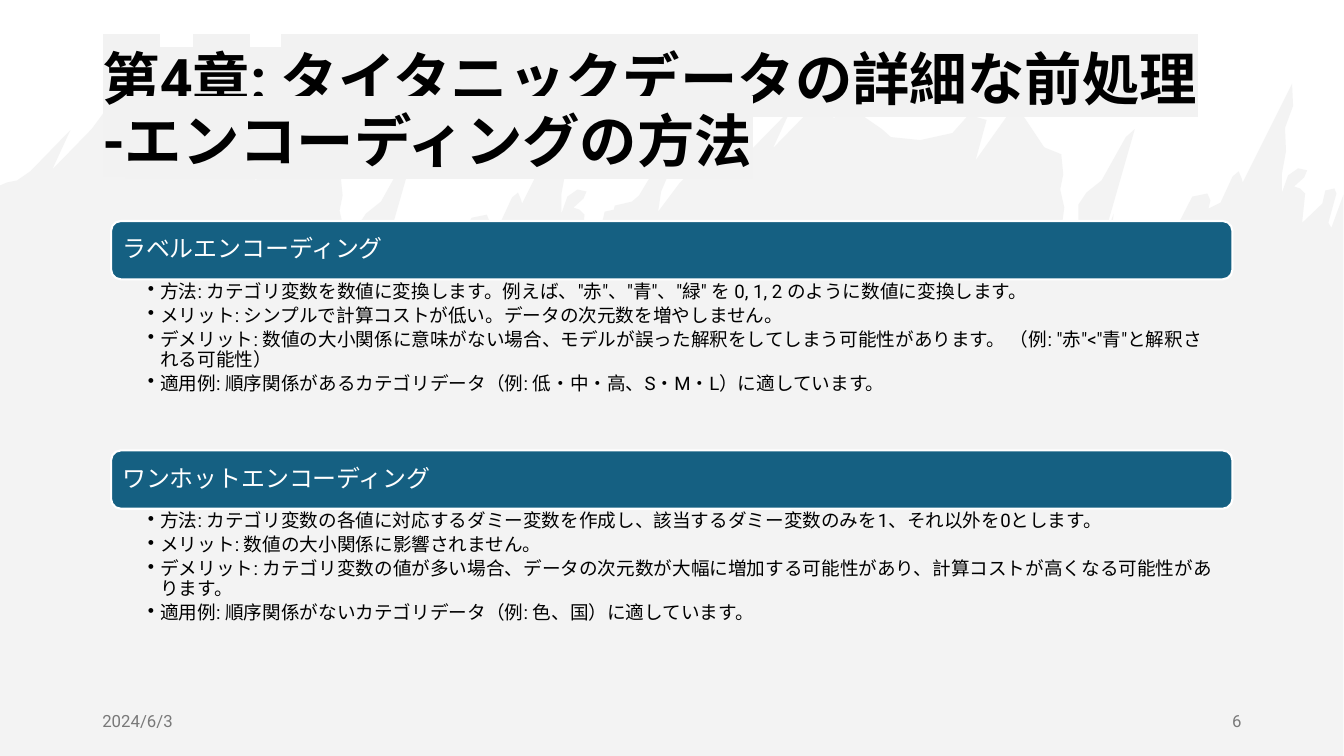
from dataclasses import dataclass

import pptx
import pptx.dml.color
import pptx.enum.shapes
import pptx.enum.text
import pptx.oxml.ns
import pptx.util
from lxml import etree
from pptx.util import Cm, Pt


@dataclass(frozen=True)
class Theme:
    font: str = "Roboto"
    ink: str = "000000"
    white: str = "FFFFFF"
    heading_fill: str = "156082"
    ridge_fill: str = "E8E8E8"
    highlight: str = "F2F2F2"
    footer: str = "797979"
    title_size: float = 41
    heading_size: float = 17.1
    body_size: float = 13.3
    footer_size: float = 12


theme = Theme()
qn = pptx.oxml.ns.qn
ANCHOR = pptx.enum.text.MSO_ANCHOR
ALIGN = pptx.enum.text.PP_ALIGN


def rgb(value):
    return pptx.dml.color.RGBColor.from_string(value)


def style(font, size, color, bold=False):
    font.name = theme.font
    font.size = Pt(size)
    font.bold = bold
    font.color.rgb = rgb(color)


deck = pptx.Presentation()
deck.slide_width, deck.slide_height = Cm(33.87), Cm(19.05)
slide = deck.slides.add_slide(deck.slide_layouts[5])

# Background ridge: one outline, used at the right and again, shifted, at the left
# (points in hundredths of 2.54 cm)
ridge = [
    (732, 158), (745, 149), (785, 108), (767, 147), (806, 107), (820, 88), (824, 82),
    (828, 83), (830, 91), (827, 118), (852, 85), (849, 110), (859, 117), (875, 128),
    (884, 136), (913, 139), (945, 132), (961, 114), (979, 119), (968, 159), (1010, 100),
    (1012, 110), (1036, 146), (1038, 147), (1053, 153), (1055, 173), (1052, 188),
    (1056, 206), (1054, 221), (1057, 234), (1070, 221), (1070, 203), (1078, 191),
    (1093, 179), (1117, 136), (1126, 128), (1091, 250), (1105, 212), (1102, 238),
    (1112, 252), (1115, 252), (1124, 241), (1130, 235), (1151, 219), (1154, 230),
    (1158, 235), (1164, 232), (1183, 195), (1198, 192), (1201, 199), (1199, 207),
    (1211, 201), (1223, 175), (1229, 170), (1232, 177), (1233, 181), (1282, 83),
    (1283, 105), (1275, 127), (1276, 150), (1272, 172), (1272, 191), (1278, 174),
    (1288, 167), (1297, 169), (1294, 176), (1284, 185), (1290, 187), (1295, 192),
    (1292, 221), (1312, 202), (1315, 189), (1324, 187),
]
valley = [
    (610, 204), (627, 200), (634, 194), (643, 179), (663, 153), (668, 162), (656, 190),
    (653, 210), (674, 182), (701, 154), (696, 175), (700, 176),
]
right_end = [(1326, 192), (1318, 221), (1321, 226), (1333, 193), (1333, 750)]
left_ridge = [(x - 715, y + 21) for x, y in ridge]
outline = [(0, 184), (7, 181)] + left_ridge + valley + ridge + right_end

builder = slide.shapes.build_freeform(0, 750, scale=Cm(2.54) / 100)
builder.add_line_segments(outline, close=True)
mountains = builder.convert_to_shape()
mountains.shadow.inherit = False
mountains.line.fill.background()
mountains.fill.solid()
mountains.fill.fore_color.rgb = rgb(theme.ridge_fill)
ridge_color = mountains.fill._xPr.find(qn("a:solidFill"))[0]
etree.SubElement(ridge_color, qn("a:alpha"), val="50000")
slide.shapes._spTree.insert(2, mountains._element)

# Title with highlighted text
title = slide.shapes.title
title.left, title.top, title.width, title.height = Cm(2.33), Cm(1.01), Cm(29.21), Cm(3.68)
title_frame = title.text_frame
title_frame.text = "第4章: タイタニックデータの詳細な前処理\v-エンコーディングの方法"
title_frame.word_wrap = True
title_frame.auto_size = pptx.enum.text.MSO_AUTO_SIZE.NONE
title_frame.vertical_anchor = ANCHOR.MIDDLE
title_line = title_frame.paragraphs[0]
title_line.alignment = ALIGN.LEFT
title_line.line_spacing = 0.9
for run in title_line.runs:
    style(run.font, theme.title_size, theme.ink, bold=True)
    marker = etree.Element(qn("a:highlight"))
    etree.SubElement(marker, qn("a:srgbClr"), val=theme.highlight)
    run._r.rPr.find(qn("a:solidFill")).addnext(marker)

# Encoding methods: heading bar with bullets below
methods = [
    ("ラベルエンコーディング", [
        "方法: カテゴリ変数を数値に変換します。例えば、\"赤\"、\"青\"、\"緑\" を 0, 1, 2 のように数値に変換します。",
        "メリット: シンプルで計算コストが低い。データの次元数を増やしません。",
        "デメリット: 数値の大小関係に意味がない場合、モデルが誤った解釈をしてしまう可能性があります。 （例: \"赤\"<\"青\"と解釈される可能性）",
        "適用例: 順序関係があるカテゴリデータ（例: 低・中・高、S・M・L）に適しています。",
    ]),
    ("ワンホットエンコーディング", [
        "方法: カテゴリ変数の各値に対応するダミー変数を作成し、該当するダミー変数のみを1、それ以外を0とします。",
        "メリット: 数値の大小関係に影響されません。",
        "デメリット: カテゴリ変数の値が多い場合、データの次元数が大幅に増加する可能性があり、計算コストが高くなる可能性があります。",
        "適用例: 順序関係がないカテゴリデータ（例: 色、国）に適しています。",
    ]),
]
left, width = Cm(2.8), Cm(28.26)
first_top, pitch = Cm(5.57), Cm(5.78)
bar_height, details_height = Cm(1.47), Cm(4.31)

for index, (heading, points) in enumerate(methods):
    top = first_top + index * pitch
    bar = slide.shapes.add_shape(
        pptx.enum.shapes.MSO_SHAPE.ROUNDED_RECTANGLE, left, top, width, bar_height)
    bar.shadow.inherit = False
    bar.fill.solid()
    bar.fill.fore_color.rgb = rgb(theme.heading_fill)
    bar.line.color.rgb = rgb(theme.white)
    bar.line.width = Pt(1.5)
    bar_frame = bar.text_frame
    bar_frame.text = heading
    bar_frame.margin_left = bar_frame.margin_right = Cm(0.21)
    bar_frame.vertical_anchor = ANCHOR.MIDDLE
    heading_line = bar_frame.paragraphs[0]
    heading_line.alignment = ALIGN.LEFT
    heading_line.line_spacing = 0.9
    style(heading_line.font, theme.heading_size, theme.white)

    details = slide.shapes.add_textbox(left, top + bar_height, width, details_height).text_frame
    details.word_wrap = True
    details.margin_left, details.margin_right = Cm(0.93), Cm(0.36)
    details.margin_top = details.margin_bottom = Cm(0.08)
    details.text = "\n".join(points)
    for point in details.paragraphs:
        point.line_spacing = 0.9
        point.space_after = Pt(2.7)
        properties = point._p.get_or_add_pPr()
        properties.set("marL", str(Cm(0.31)))
        properties.set("indent", str(-Cm(0.31)))
        etree.SubElement(properties, qn("a:buChar"), char="•")
        style(point.font, theme.body_size, theme.ink)

# Footer: date and slide number
for text, footer_left, footer_width, alignment in [
    ("2024/6/3", Cm(2.33), Cm(7.62), ALIGN.LEFT),
    ("6", Cm(23.92), Cm(7.62), ALIGN.RIGHT),
]:
    footer = slide.shapes.add_textbox(footer_left, Cm(17.66), footer_width, Cm(1.01)).text_frame
    footer.word_wrap = True
    footer.vertical_anchor = ANCHOR.MIDDLE
    footer.text = text
    footer.paragraphs[0].alignment = alignment
    style(footer.paragraphs[0].font, theme.footer_size, theme.footer)

deck.save("out.pptx")
